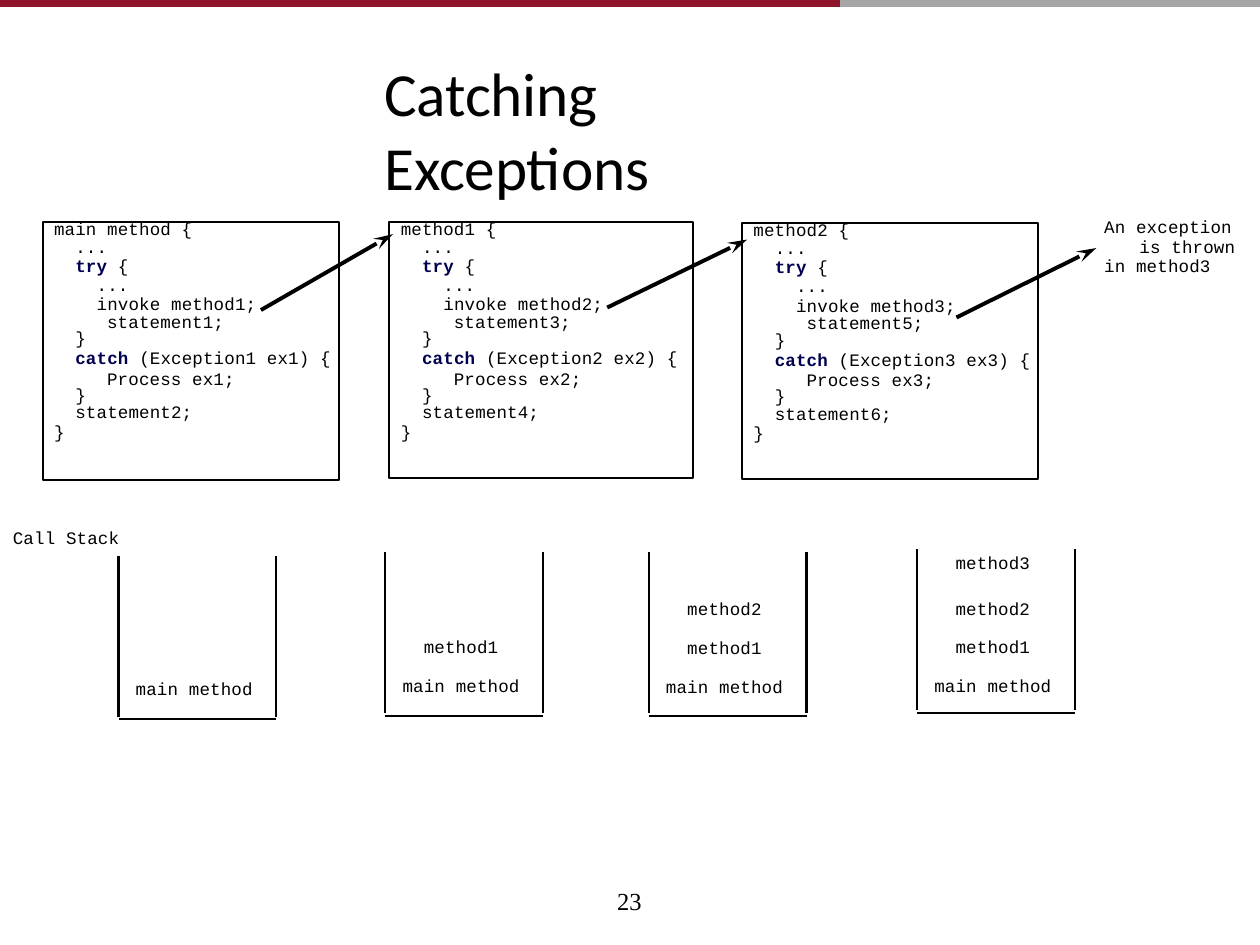
from dataclasses import dataclass
from typing import NamedTuple

from lxml import etree
from pptx import Presentation
from pptx import util as u
from pptx.dml.color import RGBColor
from pptx.enum import shapes, text
from pptx.oxml.ns import qn


@dataclass(frozen=True)
class Theme:
    ink: RGBColor = RGBColor(0, 0, 0)
    keyword: RGBColor = RGBColor(0x00, 0x00, 0x50)
    crimson: RGBColor = RGBColor(0x90, 0x15, 0x2A)
    gray: RGBColor = RGBColor(0xA6, 0xA6, 0xA6)
    title_font: str = "Calibri"
    code_font: str = "Courier New"
    number_font: str = "Times New Roman"
    title_size: float = 35
    code_size: float = 10
    number_size: float = 14
    outline: float = 1.25
    arrow: float = 2.25
    band: float = 4


THEME = Theme()


class Box(NamedTuple):
    """Left, top, width and height in centimetres."""
    left: float
    top: float
    width: float
    height: float


class Line(NamedTuple):
    """A paragraph; lengths in centimetres, spacing in points."""
    words: str
    keyword: str = ""
    indent: float = 0.03
    pitch: float | None = None
    before: float = 0
    align: text.PP_ALIGN = text.PP_ALIGN.LEFT


class Method(NamedTuple):
    name: str
    box: Box


class Stack(NamedTuple):
    left: float
    top: float
    labels_top: float
    gaps: tuple[float, ...]  # space before each label, from the top one down


class Stroke(NamedTuple):
    x1: float
    y1: float
    x2: float
    y2: float


METHODS = (
    Method("main method", Box(0.86, 4.47, 5.97, 5.21)),
    Method("method1", Box(7.85, 4.47, 6.12, 5.16)),
    Method("method2", Box(14.96, 4.5, 5.97, 5.16)),
)
CALLS = (
    Stroke(5.26, 6.25, 7.92, 4.72),
    Stroke(12.24, 6.2, 15.06, 4.83),
    Stroke(19.28, 6.4, 22.1, 5),
)
STACKS = (
    Stack(2.39, 11.2, 13.61, (1.2,)),
    Stack(7.77, 11.13, 12.78, (1.2, 10.3)),
    Stack(13.08, 11.13, 12.01, (1.2, 10.3, 10.3)),
    Stack(18.49, 11.07, 11.07, (1.2, 14.4, 10, 10)),
)
STACK_WIDTH, WALL_HEIGHT, STACK_DEPTH = 3.18, 3.25, 3.3


def add_run(paragraph, words: str, font: str, size: float,
            color: RGBColor = THEME.ink, bold: bool = False, tracking: int = 0) -> None:
    """Tracking is in hundredths of a point."""
    run = paragraph.add_run()
    run.text = words
    run.font.name, run.font.size = font, u.Pt(size)
    run.font.bold, run.font.color.rgb = bold, color
    run._r.get_or_add_rPr().set("spc", str(tracking))


def clear_frame(frame, top_inset: float = 0) -> None:
    frame.word_wrap = True
    frame.auto_size = text.MSO_AUTO_SIZE.NONE
    frame.vertical_anchor = text.MSO_ANCHOR.TOP
    frame.margin_left = frame.margin_right = frame.margin_bottom = 0
    frame.margin_top = u.Cm(top_inset)


def add_lines(slide, box: Box, lines: list[Line], font: str = THEME.code_font,
              size: float = THEME.code_size, inset: float = 0.05, tracking: int = 10) -> None:
    frame = slide.shapes.add_textbox(*map(u.Cm, box)).text_frame
    clear_frame(frame, inset)
    for index, line in enumerate(lines):
        paragraph = frame.add_paragraph() if index else frame.paragraphs[0]
        paragraph.alignment = line.align
        paragraph.space_before = u.Pt(line.before)
        if line.pitch:
            paragraph.line_spacing = u.Pt(line.pitch)
        paragraph._p.get_or_add_pPr().set("marL", str(u.Cm(line.indent)))
        if line.keyword:
            add_run(paragraph, line.keyword, font, size, THEME.keyword, True, tracking)
        add_run(paragraph, line.words, font, size, tracking=tracking)


def add_stroke(slide, stroke: Stroke, color: RGBColor, width: float, arrow: bool = False) -> None:
    connector = slide.shapes.add_connector(shapes.MSO_CONNECTOR.STRAIGHT, *map(u.Cm, stroke))
    connector.line.color.rgb, connector.line.width = color, u.Pt(width)
    if arrow:
        etree.SubElement(connector.line._get_or_add_ln(), qn("a:tailEnd"),
                         type="stealth", w="med", len="lg")
    etree.SubElement(connector._element.spPr, qn("a:effectLst"))


def outline_only(shape) -> None:
    shape.shadow.inherit = False
    shape.fill.background()
    shape.line.color.rgb, shape.line.width = THEME.ink, u.Pt(THEME.outline)


def method_lines(name: str, number: int) -> list[Line]:
    shallow, deep, deeper = 0.46, 0.89, 1.1
    return [
        Line(f"{name} {{", pitch=11.1, before=1.2),
        Line("...", indent=shallow, pitch=10.3),
        Line("{", "try ", shallow, 10.9),
        Line("...", indent=deep, pitch=10.8),
        Line(f"invoke method{number};", indent=deep, pitch=10.2, before=0.9),
        Line(f"statement{2 * number - 1};", indent=deeper, pitch=10.2),
        Line("}", indent=shallow, pitch=9.4),
        Line(f"(Exception{number} ex{number}) {{", "catch ", shallow, 11.5),
        Line(f"Process ex{number};", indent=deeper, pitch=11.5),
        Line("}", indent=shallow, pitch=9.1),
        Line(f"statement{2 * number};", indent=shallow, pitch=10.2),
        Line("}", pitch=11),
    ]


def add_method(slide, method: Method, number: int) -> None:
    box = method.box
    outline_only(slide.shapes.add_shape(shapes.MSO_SHAPE.RECTANGLE, *map(u.Cm, box)))
    add_lines(slide, Box(box.left + 0.2, box.top - 0.1, 5.69, 4.57),
              method_lines(method.name, number))


def add_stack(slide, stack: Stack) -> None:
    """Draw an open-topped stack with its calls, the latest on top."""
    left, right = u.Cm(stack.left), u.Cm(stack.left + STACK_WIDTH)
    top, wall, floor = (u.Cm(stack.top + drop) for drop in (0, WALL_HEIGHT, STACK_DEPTH))
    builder = slide.shapes.build_freeform(left, top)
    builder.add_line_segments([(left, wall)], close=False)
    for start, end in (((right, top), (right, wall)), ((left, floor), (right, floor))):
        builder.move_to(*start)
        builder.add_line_segments([end], close=False)
    outline_only(builder.convert_to_shape())
    calls = ["main method", "method1", "method2", "method3"][:len(stack.gaps)]
    labels = [Line(call, indent=0, before=gap, align=text.PP_ALIGN.CENTER)
              for call, gap in zip(reversed(calls), stack.gaps)]
    add_lines(slide, Box(stack.left, stack.labels_top, 3.05, 0.77 * len(labels)), labels)


def add_title(slide, words: str) -> None:
    title = slide.shapes.title
    title.left, title.top, title.width, title.height = map(u.Cm, (7.75, 1.09, 9.65, 1.55))
    clear_frame(title.text_frame, 0.03)
    paragraph = title.text_frame.paragraphs[0]
    paragraph.alignment = text.PP_ALIGN.LEFT
    paragraph.space_before = u.Pt(1)
    add_run(paragraph, words, THEME.title_font, THEME.title_size, tracking=-10)


def main() -> None:
    presentation = Presentation()
    presentation.slide_width, presentation.slide_height = u.Cm(25.4), u.Cm(19.05)
    slide = presentation.slides.add_slide(presentation.slide_layouts[5])
    add_title(slide, "Catching Exceptions")
    for number, method in enumerate(METHODS, start=1):
        add_method(slide, method, number)
    for call in CALLS:
        add_stroke(slide, call, THEME.ink, THEME.arrow, arrow=True)
    add_lines(slide, Box(22.23, 4.34, 2.67, 1.3), [
        Line("An exception", pitch=11.1, before=2),
        Line("is thrown", pitch=11.1, align=text.PP_ALIGN.RIGHT),
        Line("in method3", pitch=11.1),
    ])
    add_lines(slide, Box(0.23, 10.57, 2.24, 0.51), [Line("Call Stack", before=1.2)])
    for stack in STACKS:
        add_stack(slide, stack)
    add_stroke(slide, Stroke(16.93, 0.08, 25.4, 0.08), THEME.gray, THEME.band)
    add_stroke(slide, Stroke(0, 0.08, 16.93, 0.08), THEME.crimson, THEME.band)
    add_lines(slide, Box(12.34, 17.88, 0.74, 0.61), [Line("23", indent=0.1, pitch=16.3)],
              THEME.number_font, THEME.number_size, inset=0, tracking=0)
    presentation.save("out.pptx")


if __name__ == "__main__":
    main()
